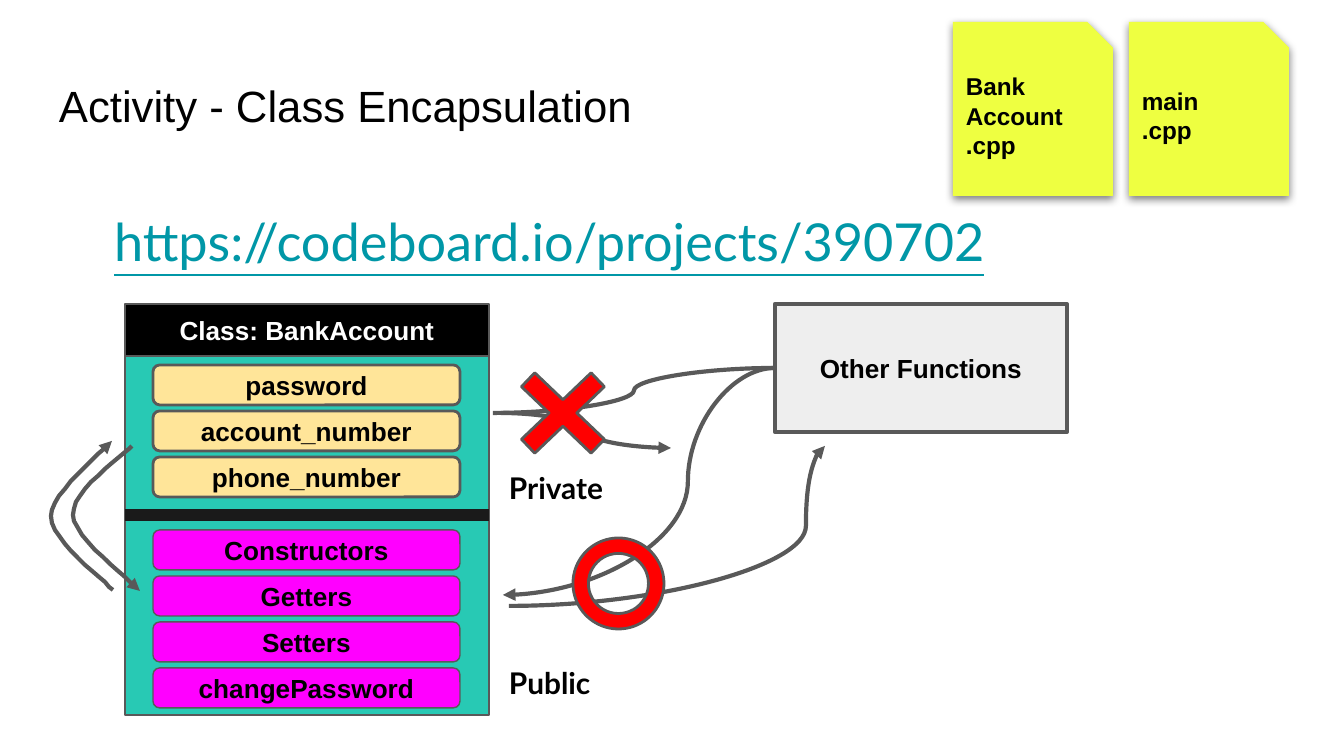
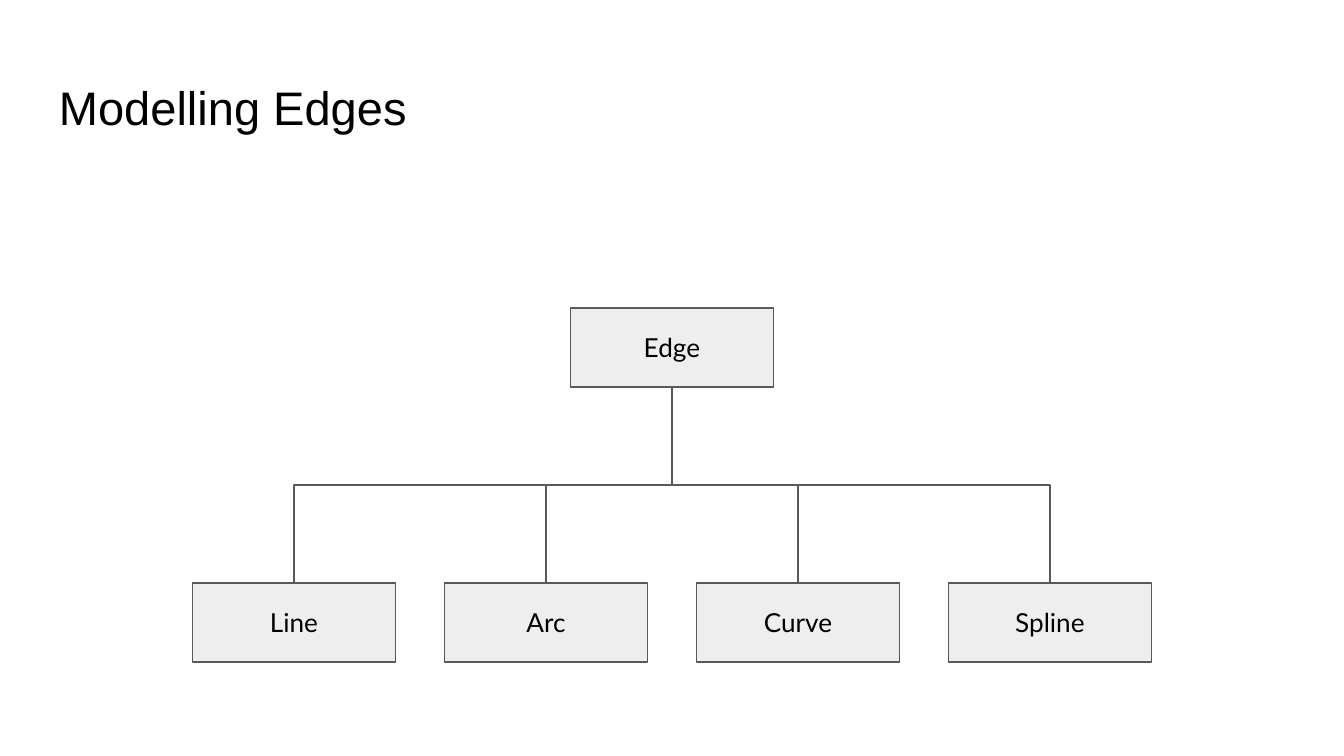
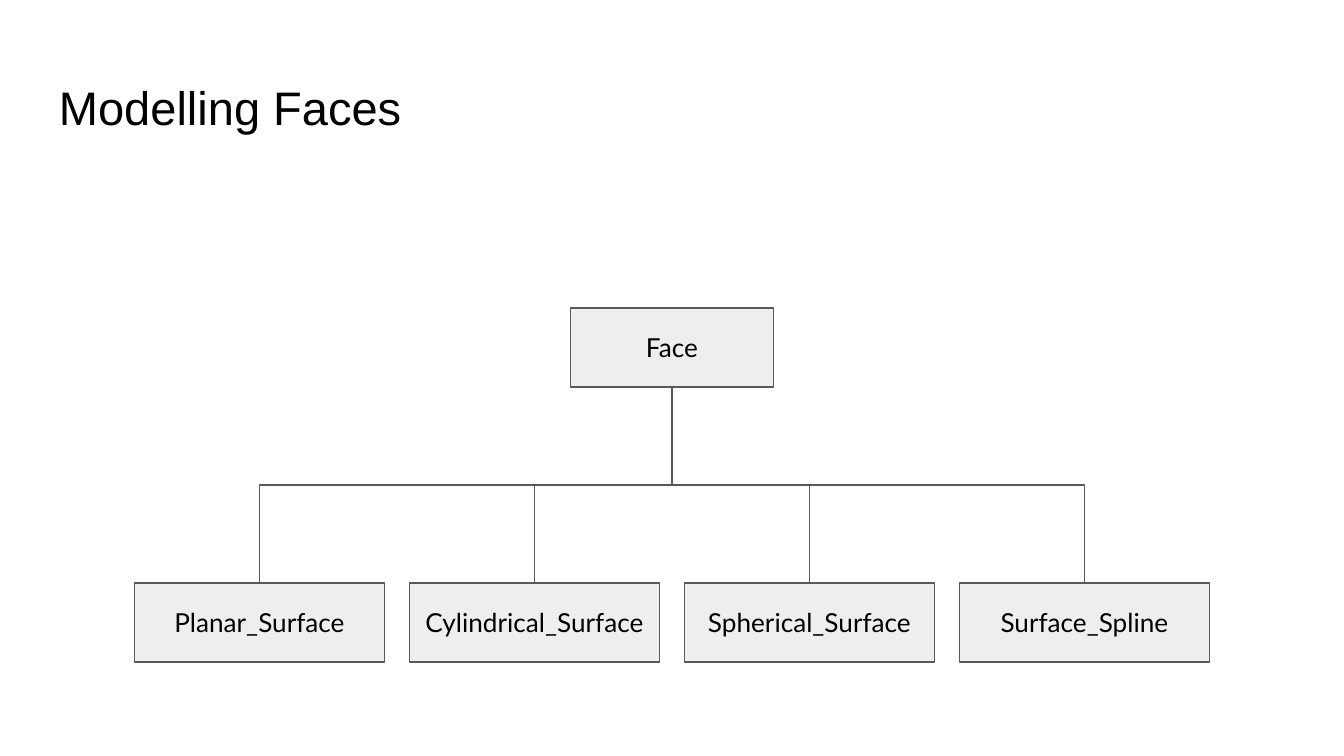
import pptx
import pptx.util
import pptx.dml.color
import pptx.enum.shapes
import pptx.enum.text
import pptx.oxml
import pptx.oxml.ns
from lxml import etree

SHAPE = pptx.enum.shapes.MSO_SHAPE
LINK = pptx.enum.shapes.MSO_CONNECTOR
ALIGN = pptx.enum.text.PP_ALIGN
ANCHOR = pptx.enum.text.MSO_ANCHOR

# Shared style
PX = 914400 / 134.4
WIDE, HIGH = 1344, 756
COL = {
    "ink": "000000", "white": "FFFFFF", "gray": "595959", "pale": "EEEEEE",
    "link": "0097A7", "note": "EEFF41", "teal": "28C9B4", "sand": "FFE599",
    "pink": "FF00FF", "bar": "1A1A1A", "red": "FF0000",
}
TITLE = (46, 66, 1253, 85)

# Content: class diagram
TOPIC = "Activity - Class Encapsulation"
URL = "https://codeboard.io/projects/390702"
NOTES = [["Bank", "Account", ".cpp"], ["main", ".cpp"]]
HEAD = "Class: BankAccount"
CALLER = "Other Functions"
# members, first top, fill, line width
GROUPS = [
    (["password", "account_number", "phone_number"], 365, "sand", 1.5),
    (["Constructors", "Getters", "Setters", "changePassword"], 530, "pink", 0.75),
]
SCOPES = [("Private", 457), ("Public", 652)]
# start, end, bend, arrow
DENIED = [
    ((775, 368), (493, 413), 0.5, False),
    ((501, 413), (671, 448), 0.5, True),
]
ALLOWED = [
    ((775, 368), (503, 595), 0.32, True),
    ((509, 606), (825, 446), 0.94, True),
]
# start, then cubic segments
LOOPS = [
    ((113, 590), [((102, 578), (52, 542), (51, 516)),
                  ((51, 492), (102, 453), (112, 441))]),
    ((132, 446), [((122, 457), (71, 491), (73, 515)),
                  ((74, 539), (129, 578), (140, 591))]),
]

# Content: trees as title, root, leaves, leaf width, leaf pitch
TREES = [
    ("Modelling Edges", "Edge", ["Line", "Arc", "Curve", "Spline"], 203, 252),
    ("Modelling Faces", "Face",
     ["Planar_Surface", "Cylindrical_Surface", "Spherical_Surface",
      "Surface_Spline"], 250, 275),
]


def emu(*vals):
    return [round(v * PX) for v in vals]


def rgb(name):
    return pptx.dml.color.RGBColor.from_string(COL[name])


def write(shape, lines, size, font="Arial", color="ink", bold=False,
          under=False, center=False, middle=False):
    frame = shape.text_frame
    frame.word_wrap = True
    pad = emu(13)[0]
    frame.margin_left = frame.margin_right = pad
    frame.margin_top = frame.margin_bottom = pad
    frame.vertical_anchor = ANCHOR.MIDDLE if middle else ANCHOR.TOP
    for i, line in enumerate(lines):
        para = frame.add_paragraph() if i else frame.paragraphs[0]
        para.alignment = ALIGN.CENTER if center else ALIGN.LEFT
        run = para.add_run()
        run.text = line
        run.font.size = pptx.util.Pt(size)
        run.font.name = font
        run.font.bold = bold
        run.font.underline = under
        run.font.color.rgb = rgb(color)


def label(slide, box, text, size, **style):
    write(slide.shapes.add_textbox(*emu(*box)), [text], size, **style)


def draw(slide, kind, box, fill, width=0.75, adj=None):
    shape = slide.shapes.add_shape(kind, *emu(*box))
    shape.shadow.inherit = False
    shape.fill.solid()
    shape.fill.fore_color.rgb = rgb(fill)
    if width:
        stroke(shape, width)
    else:
        shape.line.fill.background()
    if adj is not None:
        shape.adjustments[0] = adj
    return shape


def block(slide, kind, box, fill, text, width=0.75, **style):
    shape = draw(slide, kind, box, fill, width)
    write(shape, [text], 14, center=True, middle=True, **style)
    return shape


def stroke(shape, width, color="gray", arrow=False):
    shape.line.width = pptx.util.Pt(width)
    shape.line.color.rgb = rgb(color)
    if arrow:
        tail = etree.SubElement(shape.line._get_or_add_ln(),
                                pptx.oxml.ns.qn("a:tailEnd"))
        tail.set("type", "triangle")


def join(slide, kind, start, end, width, color="gray", arrow=False):
    line = slide.shapes.add_connector(kind, *emu(*start, *end))
    stroke(line, width, color, arrow)
    etree.SubElement(line._element.spPr, pptx.oxml.ns.qn("a:effectLst"))
    return line


def curve(slide, start, end, bend, arrow):
    line = join(slide, LINK.CURVE, start, end, 2.25, arrow=arrow)
    geom = line._element.spPr.find(pptx.oxml.ns.qn("a:prstGeom"))
    guide = etree.SubElement(geom.get_or_add_avLst(), pptx.oxml.ns.qn("a:gd"))
    guide.set("name", "adj1")
    guide.set("fmla", f"val {round(bend * 100000)}")


def loop(slide, start, parts, steps=12):
    pen = slide.shapes.build_freeform(*start, scale=PX)
    dots, a = [], start
    for b, c, d in parts:
        for i in range(1, steps + 1):
            t = i / steps
            u = 1 - t
            dots.append(tuple(
                u**3 * p + 3 * u * u * t * q + 3 * u * t * t * r + t**3 * s
                for p, q, r, s in zip(a, b, c, d)))
        a = d
    pen.add_line_segments(dots, close=False)
    shape = pen.convert_to_shape()
    shape.shadow.inherit = False
    shape.fill.background()
    stroke(shape, 2.25, arrow=True)


def shade(shape):
    glow = pptx.oxml.parse_xml(
        f'<a:outerShdw {pptx.oxml.ns.nsdecls("a")} blurRad="57150" '
        'dist="19050" dir="5400000" algn="bl" rotWithShape="0">'
        '<a:srgbClr val="000000"><a:alpha val="50000"/></a:srgbClr>'
        '</a:outerShdw>')
    shape._element.spPr.find(pptx.oxml.ns.qn("a:effectLst")).append(glow)


def branch(slide, leaf, root):
    """Link the top of a leaf to the bottom of the root, upright first."""
    x, y = leaf.left + leaf.width // 2, leaf.top
    end, low = root.left + root.width // 2, root.top + root.height
    line = join(slide, LINK.ELBOW, (0, 0), (0, 0), 0.75)
    line.begin_connect(leaf, 0)
    line.end_connect(root, 2)
    # The frame lies on its side, so width and height trade places
    line.width, line.height = y - low, abs(end - x)
    line.left = (x + end - line.width) // 2
    line.top = (y + low - line.height) // 2
    right = x > end
    frame = line._element.spPr.find(pptx.oxml.ns.qn("a:xfrm"))
    frame.set("rot", "5400000" if right else "16200000")
    frame.set("flipH", "1" if right else "0")
    frame.set("flipV", "0")


def page(deck, title, size):
    slide = deck.slides.add_slide(deck.slide_layouts[6])
    label(slide, TITLE, title, size)
    return slide


def diagram(deck):
    slide = page(deck, TOPIC, 23.4)
    label(slide, (101, 196, 1062, 90), URL, 28, font="Lato", color="link",
          under=True)

    # File notes
    for i, lines in enumerate(NOTES):
        note = draw(slide, SHAPE.SNIP_1_RECTANGLE, (953 + 176 * i, 22, 160, 174),
                    "note", 0, 0.16)
        shade(note)
        write(note, lines, 13, bold=True, middle=True)

    # Class box with its members
    left, wide = 125, 364
    draw(slide, SHAPE.RECTANGLE, (left, 314, wide, 401), "teal")
    block(slide, SHAPE.RECTANGLE, (left, 304, wide, 52), "ink", HEAD,
          color="white", bold=True)
    for names, top, fill, width in GROUPS:
        for i, name in enumerate(names):
            block(slide, SHAPE.ROUNDED_RECTANGLE, (153, top + 46 * i, 307, 40),
                  fill, name, width, bold=True)
    join(slide, LINK.STRAIGHT, (left, 515), (left + wide, 515), 6, "bar")
    for name, top in SCOPES:
        label(slide, (496, top, 198, 63), name, 16, font="Lato", bold=True)

    # Calls from outside
    block(slide, SHAPE.RECTANGLE, (775, 304, 292, 128), "pale", CALLER, 2.25,
          bold=True)
    for call in DENIED:
        curve(slide, *call)
    draw(slide, SHAPE.MATH_MULTIPLY, (496, 349, 134, 128), "red", 1.5, 0.15)
    for start, parts in LOOPS:
        loop(slide, start, parts)
    for call in ALLOWED:
        curve(slide, *call)
    draw(slide, SHAPE.DONUT, (573, 538, 91, 91), "red", 1.5, 0.17)


def tree(deck, title, top, names, wide, pitch):
    slide = page(deck, title, 25.2)
    mid, high = WIDE / 2, 79

    def node(x, y, width, text):
        return block(slide, SHAPE.RECTANGLE, (x - width / 2, y, width, high),
                     "pale", text, font="Lato")

    root = node(mid, 308, 203, top)
    first = mid - pitch * (len(names) - 1) / 2
    leaves = [node(first + pitch * i, 583, wide, name)
              for i, name in enumerate(names)]
    for leaf in leaves:
        branch(slide, leaf, root)


def main():
    deck = pptx.Presentation()
    deck.slide_width, deck.slide_height = emu(WIDE, HIGH)
    diagram(deck)
    for item in TREES:
        tree(deck, *item)
    deck.save("out.pptx")


if __name__ == "__main__":
    main()
